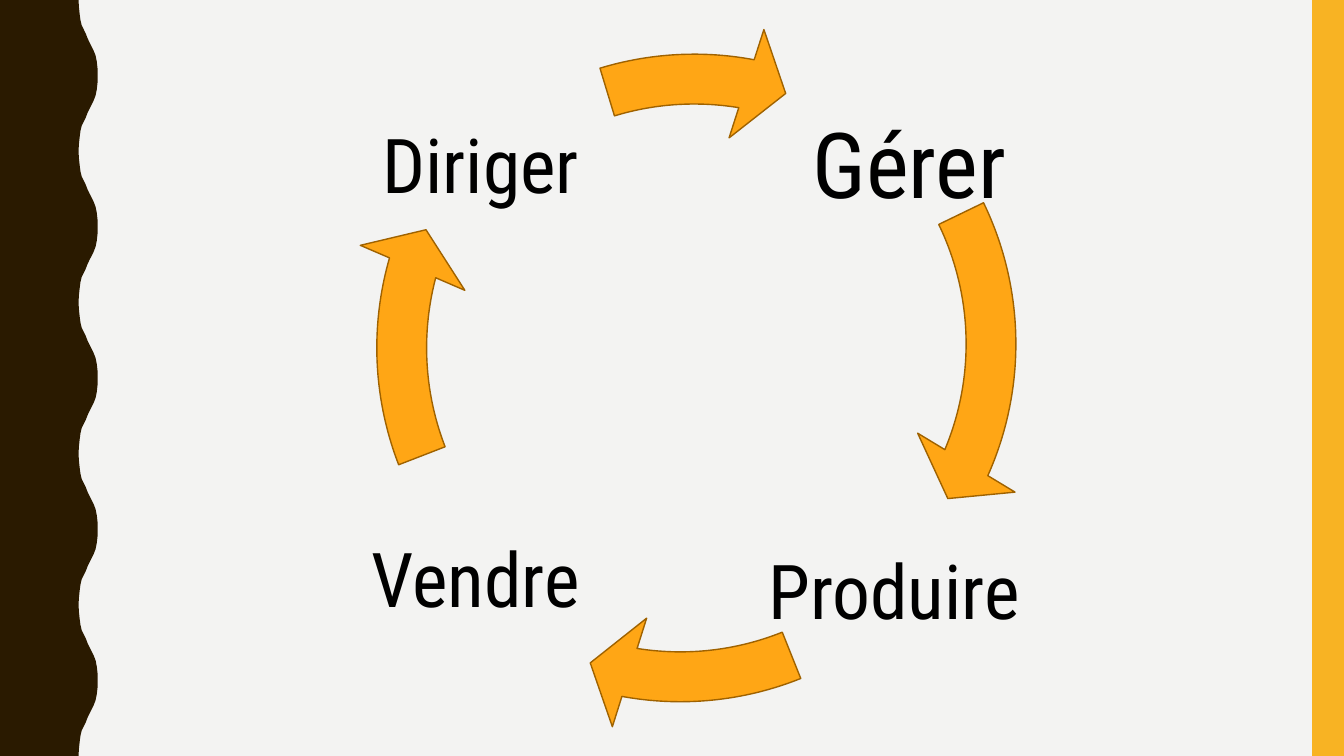
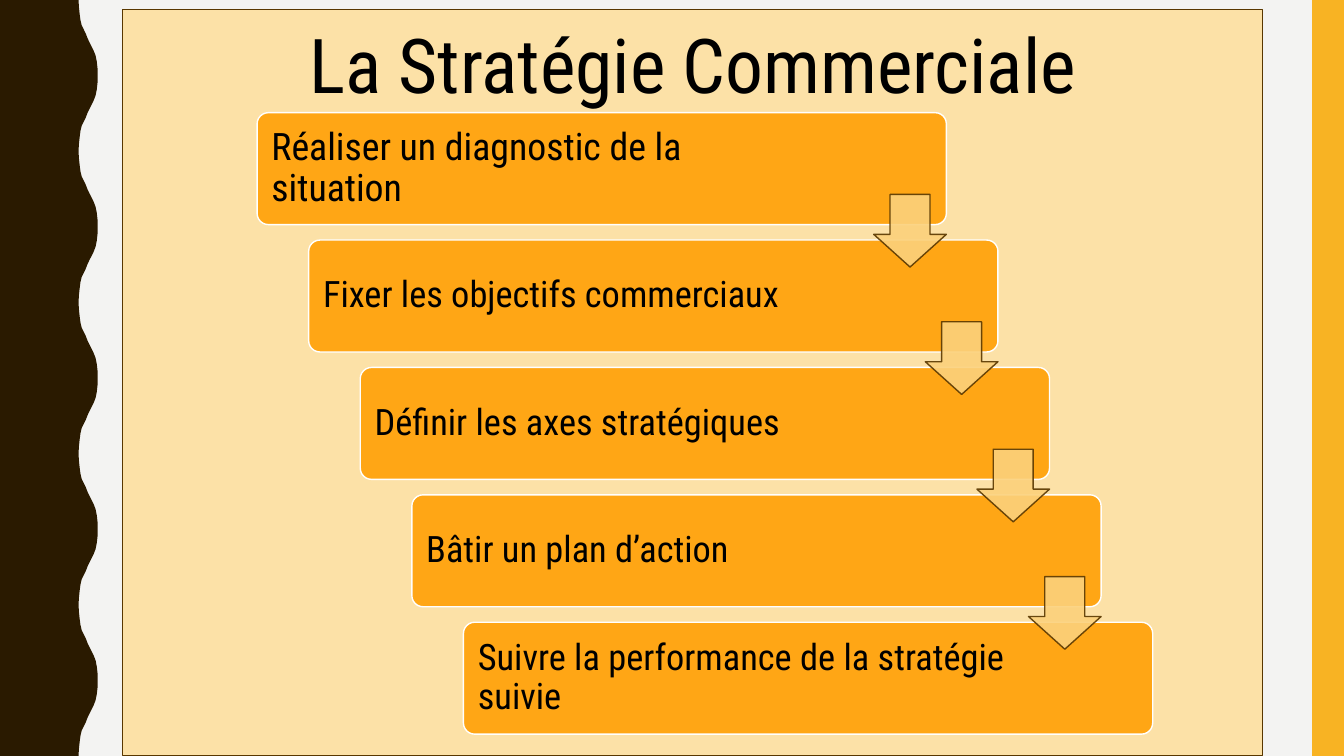
from lxml.etree import SubElement
from pptx import Presentation
from pptx.dml.color import RGBColor
from pptx.enum.shapes import MSO_SHAPE
from pptx.enum.text import MSO_ANCHOR, PP_ALIGN
from pptx.oxml.ns import qn
from pptx.util import Cm, Pt

FONT = "Roboto Condensed"
COLORS = {
    "background": "F3F3F2", "wave": "2A1A00", "side_bar": "F8B323",
    "panel": "FCE1A7", "panel_line": "593700", "text": "000000",
    "orange": "FFA615", "orange_line": "9F6200", "white": "FFFFFF",
    "down_arrow": "FBD17B",
}
PAGE_W, PAGE_H = 33.87, 19.05

# Left band: (y, bulge) along the first half of one wave, in cm
WAVE_X, WAVE_COUNT = 1.98, 5
HALF_WAVE = [(0, 0), (0.18, 0.01), (0.36, 0.03), (0.51, 0.05), (0.64, 0.08),
             (0.74, 0.13), (0.84, 0.18), (0.97, 0.23), (1.07, 0.28),
             (1.17, 0.33), (1.27, 0.38), (1.4, 0.43), (1.55, 0.46),
             (1.73, 0.48), (1.9, 0.48)]

# Cycle: word, size, text box; then arrow left, top, end and start angles
CYCLE = [
    ("Gérer", 65, (19.74, 2.39, 6.35, 3.73), (8.48, -0.3), (14.06, 200.5)),
    ("Produire", 54, (18.77, 13.41, 7.52, 3.15), (8.18, 0.56), (59.87, 40.89)),
    ("Vendre", 54, (8.81, 12.19, 6.35, 4.98), (8.69, -0.2), (117.31, 95.29)),
    ("Diriger", 54, (8.94, 2.11, 6.35, 4.32), (8.53, 0.56), (168.05, 151.85)),
]
CYCLE_SIZE = 17.93
ARROW_WIDTH, HEAD_ANGLE, HEAD_WIDTH = 0.07, 4.65, 0.08

TITLE = "La Stratégie Commerciale"
STEPS = [
    ("Réaliser un diagnostic de la situation", 27),
    ("Fixer les objectifs commerciaux", 26),
    ("Définir les axes stratégiques", 26),
    ("Bâtir un plan d’action", 26),
    ("Suivre la performance de la stratégie suivie", 26),
]
STEP_X, STEP_Y, STEP_W, STEP_H = 6.48, 2.84, 17.37, 2.82
STEP_DX, STEP_DY = 1.3, 3.21
DOWN_SIZE, DOWN_DY = 1.83, 2.06


def rgb(name):
    return RGBColor.from_string(COLORS[name])


def paint(sp, fill, line=None, width=1, opacity=None):
    sp.shadow.inherit = False
    sp.fill.solid()
    sp.fill.fore_color.rgb = rgb(fill)
    if line:
        sp.line.color.rgb = rgb(line)
        sp.line.width = Pt(width)
    else:
        sp.line.fill.background()
    if opacity:
        for color in sp._element.spPr.iter(qn("a:srgbClr")):
            SubElement(color, qn("a:alpha"), val=str(opacity * 1000))


def add_painted(s, kind, box, adjustments=(), **style):
    sp = s.shapes.add_shape(kind, *map(Cm, box))
    for i, value in enumerate(adjustments):
        sp.adjustments[i] = value
    paint(sp, **style)
    return sp


def write(sp, text, size, insets, anchor=MSO_ANCHOR.MIDDLE,
          align=PP_ALIGN.CENTER, spacing=0.9, before=0):
    """Insets run left, top, right, bottom."""
    tf = sp.text_frame
    frame = dict(zip(("margin_left", "margin_top", "margin_right",
                      "margin_bottom"), map(Cm, insets)))
    frame.update(word_wrap=True, vertical_anchor=anchor)
    for name, value in frame.items():
        setattr(tf, name, value)
    p = tf.paragraphs[0]
    for name, value in {"alignment": align, "line_spacing": spacing,
                        "space_before": Pt(before)}.items():
        setattr(p, name, value)
    r = p.add_run()
    r.text = text
    r.font.name, r.font.size = FONT, Pt(size)
    r.font.color.rgb = rgb("text")


def add_wave(s):
    period = 2 * HALF_WAVE[-1][0]
    wave = HALF_WAVE + [(period - y, dx) for y, dx in HALF_WAVE[-2::-1]]
    pitch = PAGE_H / WAVE_COUNT
    edge = [(WAVE_X + dx, n * pitch + y * pitch / period)
            for n in range(WAVE_COUNT) for y, dx in wave]
    builder = s.shapes.build_freeform(0, 0)
    builder.add_line_segments(
        [(Cm(x), Cm(y)) for x, y in edge + [(0, PAGE_H)]], close=True)
    paint(builder.convert_to_shape(), "wave")


def new_slide(prs):
    s = prs.slides.add_slide(prs.slide_layouts[6])
    s.background.fill.solid()
    s.background.fill.fore_color.rgb = rgb("background")
    add_wave(s)
    add_painted(s, MSO_SHAPE.RECTANGLE, (33.07, 0, 0.8, PAGE_H),
                fill="side_bar")
    return s


def add_cycle_slide(prs):
    s = new_slide(prs)
    for word, size, box, corner, angles in CYCLE:
        write(s.shapes.add_textbox(*map(Cm, box)), word, size, [0.2] * 4)
        add_painted(s, MSO_SHAPE.CIRCULAR_ARROW,
                    (*corner, CYCLE_SIZE, CYCLE_SIZE),
                    (ARROW_WIDTH, HEAD_ANGLE, *angles, HEAD_WIDTH),
                    fill="orange", line="orange_line")


def add_strategy_slide(prs):
    s = new_slide(prs)
    panel = add_painted(s, MSO_SHAPE.RECTANGLE, (3.1, 0.23, 28.73, 18.82),
                        fill="panel", line="panel_line", width=0.75)
    write(panel, TITLE, 54, (0.25, 0, 0.25, 0.13), MSO_ANCHOR.TOP,
          spacing=1.1, before=7)
    corners = [(STEP_X + i * STEP_DX, STEP_Y + i * STEP_DY)
               for i in range(len(STEPS))]
    for (text, size), (x, y) in zip(STEPS, corners):
        step = add_painted(s, MSO_SHAPE.ROUNDED_RECTANGLE,
                           (x, y, STEP_W, STEP_H), [0.1],
                           fill="orange", line="white")
        write(step, text, size, (0.28, 0.28, 3.39, 0.28),
              align=PP_ALIGN.LEFT)
    for x, y in corners[:-1]:
        add_painted(s, MSO_SHAPE.DOWN_ARROW,
                    (x + STEP_W - DOWN_SIZE, y + DOWN_DY,
                     DOWN_SIZE, DOWN_SIZE), (0.55, 0.45),
                    fill="down_arrow", line="panel_line", opacity=90)


def main():
    prs = Presentation()
    prs.slide_width, prs.slide_height = Cm(PAGE_W), Cm(PAGE_H)
    add_cycle_slide(prs)
    add_strategy_slide(prs)
    prs.save("out.pptx")


if __name__ == "__main__":
    main()
